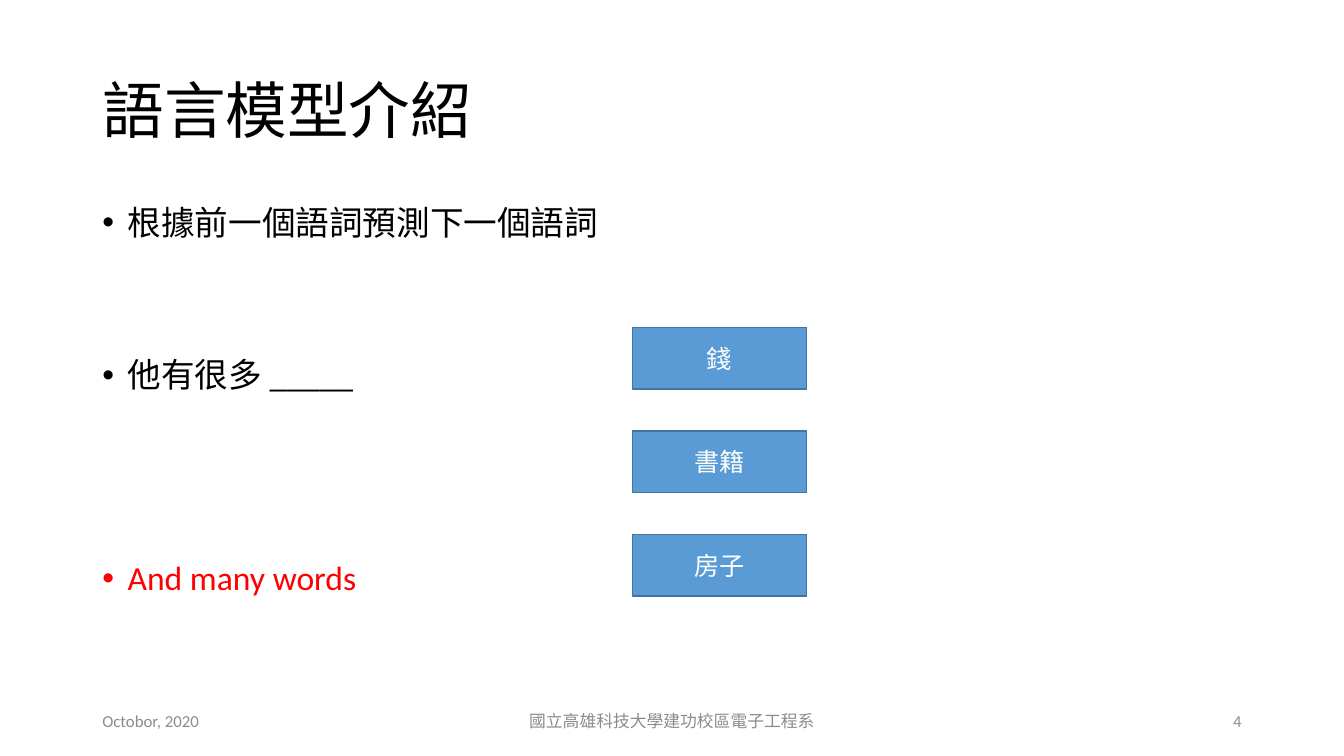
from pptx import Presentation
from pptx.dml.color import RGBColor
from pptx.enum import shapes, text
from pptx.util import Pt

FONT = "Calibri"
COLORS = {"ink": "000000", "accent": "FF0000", "muted": "8C8C8C",
          "box": "5B9BD5", "edge": "43739E", "white": "FFFFFF"}
LEFT, CENTER, RIGHT = text.PP_ALIGN.LEFT, text.PP_ALIGN.CENTER, text.PP_ALIGN.RIGHT

TITLE = "語言模型介紹"
BULLETS = [  # text, colour, space before
    ("根據前一個語詞預測下一個語詞", "ink", 10),
    ("他有很多 _____", "ink", 83),
    ("And many words", "accent", 119),
]
CANDIDATES = ["錢", "書籍", "房子"]
FOOTERS = [  # text, left, width, alignment
    ("Octobor, 2020", 66, 216, LEFT),
    ("國立高雄科技大學建功校區電子工程系", 318, 324, CENTER),
    ("4", 678, 216, RIGHT),
]
BOX_LEFT, BOX_TOP, BOX_W, BOX_H, BOX_STEP = 452, 234, 124, 44, 73.9


def rgb(name):
    return RGBColor.from_string(COLORS[name])


def place(shape, left, top, width, height):
    shape.left, shape.top = Pt(left), Pt(top)
    shape.width, shape.height = Pt(width), Pt(height)


def style(p, size, color, align):
    p.font.name, p.font.size = FONT, Pt(size)
    p.font.color.rgb = rgb(color)
    p.alignment = align


def fill_middle(shape, words, size, color, align):
    """Put one vertically centred paragraph in the shape."""
    tf = shape.text_frame
    tf.text = words
    tf.word_wrap = True
    tf.auto_size = text.MSO_AUTO_SIZE.NONE
    tf.vertical_anchor = text.MSO_ANCHOR.MIDDLE
    p = tf.paragraphs[0]
    style(p, size, color, align)
    return p


def add_bullets(body):
    tf = body.text_frame
    tf.auto_size = text.MSO_AUTO_SIZE.NONE
    tf.text = "\n".join(words for words, _, _ in BULLETS)
    for p, (_, color, before) in zip(tf.paragraphs, BULLETS):
        style(p, 24, color, LEFT)
        p.line_spacing = 0.9
        p.space_before = Pt(before)
        pPr = p._p.get_or_add_pPr()
        pPr.set("marL", str(Pt(18)))
        pPr.set("indent", str(Pt(-18)))


def main():
    prs = Presentation()
    prs.slide_width, prs.slide_height = Pt(960), Pt(540)
    s = prs.slides.add_slide(prs.slide_layouts[1])
    title, body = s.placeholders

    place(title, 66, 28.75, 828, 104.4)
    fill_middle(title, TITLE, 44, "ink", LEFT).line_spacing = 0.9
    place(body, 66, 143.75, 828, 342.6)
    add_bullets(body)

    for words, left, width, align in FOOTERS:
        footer = s.shapes.add_textbox(Pt(left), Pt(500.5), Pt(width), Pt(28.75))
        fill_middle(footer, words, 12, "muted", align)

    for i, word in enumerate(CANDIDATES):
        box = s.shapes.add_shape(shapes.MSO_SHAPE.RECTANGLE, Pt(BOX_LEFT),
                                 Pt(BOX_TOP + i * BOX_STEP), Pt(BOX_W), Pt(BOX_H))
        box.shadow.inherit = False
        box.fill.solid()
        box.fill.fore_color.rgb = rgb("box")
        box.line.color.rgb = rgb("edge")
        box.line.width = Pt(1)
        fill_middle(box, word, 18, "white", CENTER)

    prs.save("out.pptx")


if __name__ == "__main__":
    main()
